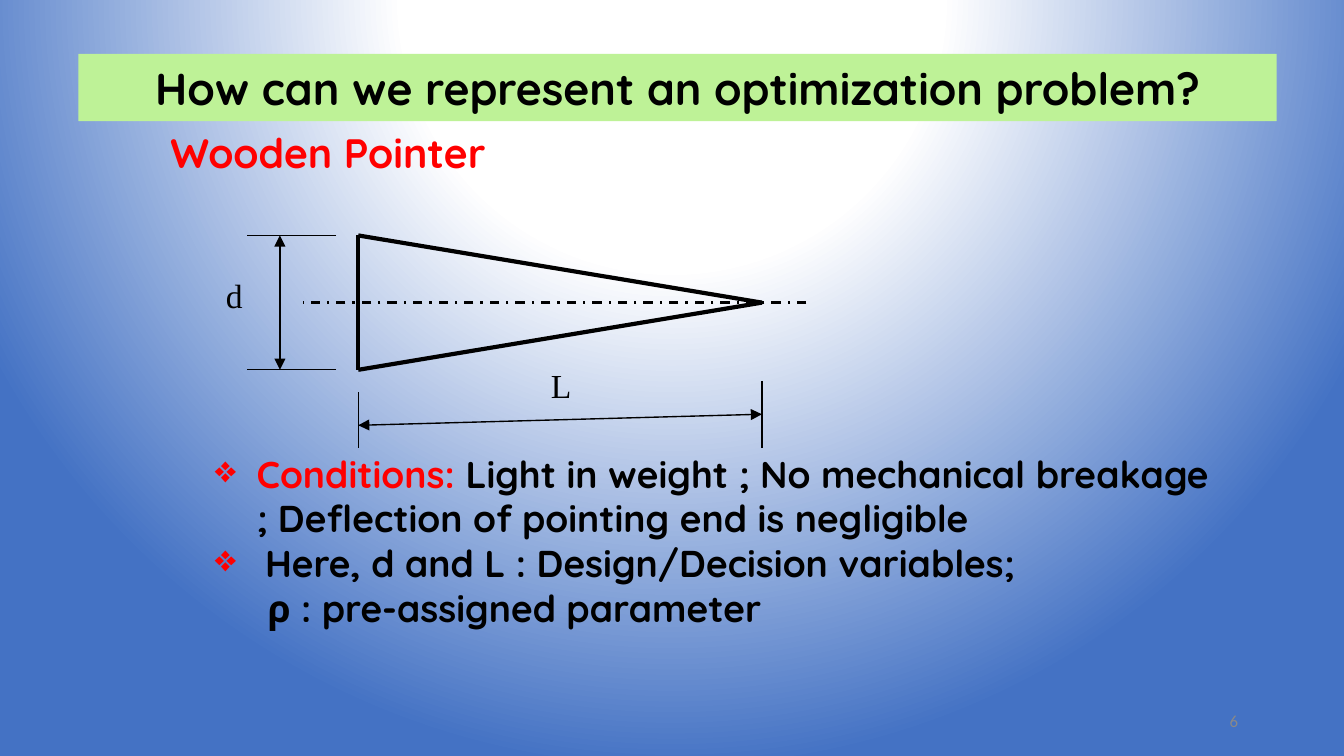
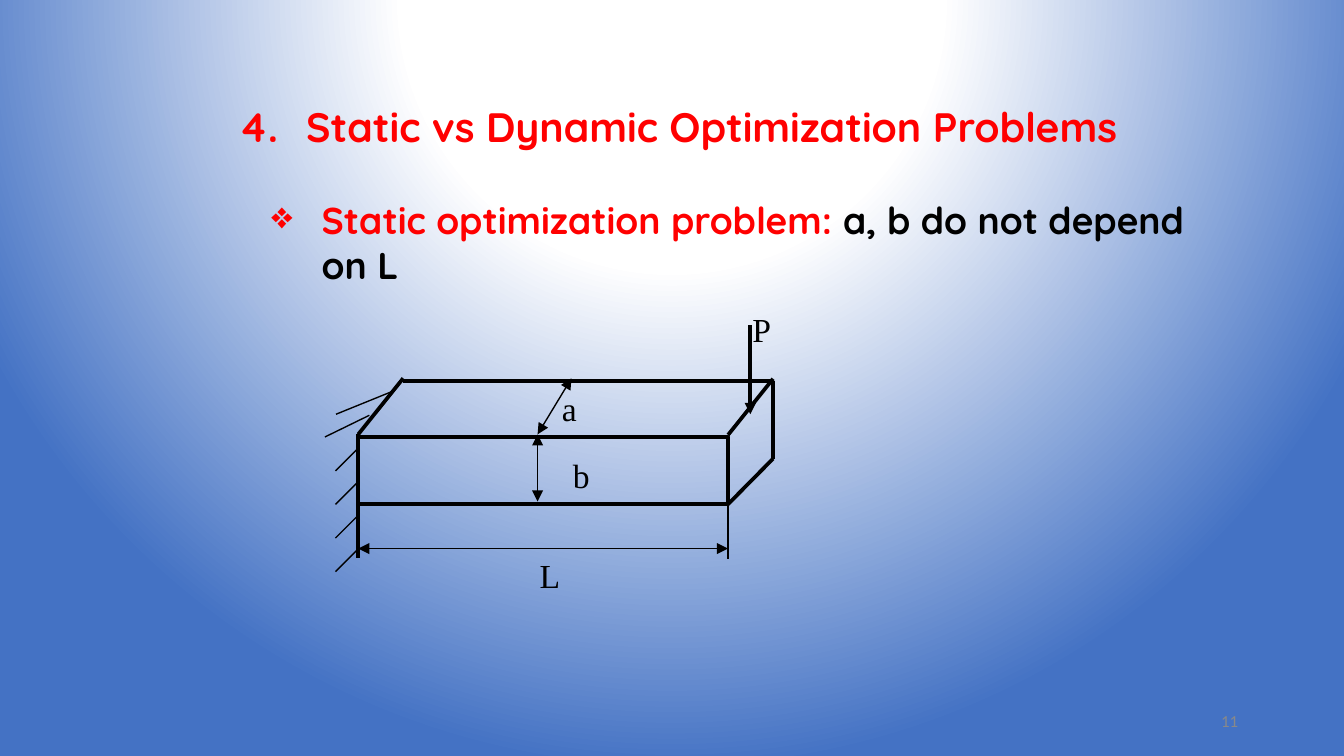
from dataclasses import dataclass
from typing import Optional

import lxml.etree
import pptx
import pptx.dml.color
import pptx.enum.dml
import pptx.enum.shapes
import pptx.enum.text
import pptx.oxml
import pptx.oxml.ns
import pptx.shapes.autoshape
import pptx.slide
import pptx.util

Cm = pptx.util.Cm
Pt = pptx.util.Pt
qn = pptx.oxml.ns.qn
Align = pptx.enum.text.PP_ALIGN
Anchor = pptx.enum.text.MSO_ANCHOR


# Theme
@dataclass(frozen=True)
class Theme:
    ink: str = "000000"
    accent: str = "FF0000"
    band: str = "BEF297"
    glow: str = "FFFFFF"
    edge: str = "4472C4"
    muted: str = "898989"
    font: str = "Quicksand"
    label_font: str = "Times New Roman"
    number_font: str = "Calibri"
    title: float = 24
    heading: float = 22
    body: float = 20
    label: float = 18
    number: float = 9
    thin: float = 0.75
    axis: float = 1.25
    medium: float = 2
    thick: float = 2.25


THEME = Theme()


# Repeated elements; all lengths in centimetres
@dataclass(frozen=True)
class Box:
    x: float
    y: float
    w: float
    h: float


@dataclass(frozen=True)
class Run:
    text: str
    size: float = THEME.body
    color: str = THEME.ink
    font: str = THEME.font
    bold: bool = True


@dataclass(frozen=True)
class Para:
    runs: tuple[Run, ...]
    margin: float = 0
    hang: float = 0
    bullet: str = ""
    start: int = 0
    align: Optional[Align] = None


@dataclass(frozen=True)
class Stroke:
    x1: float
    y1: float
    x2: float
    y2: float
    width: float = THEME.thin
    head: bool = False
    tail: bool = False
    dashed: bool = False


@dataclass(frozen=True)
class Label:
    text: str
    x: float
    y: float


def rgb(value: str) -> pptx.dml.color.RGBColor:
    return pptx.dml.color.RGBColor.from_string(value)


def set_background(master: pptx.slide.SlideMaster) -> None:
    master.background.fill.solid()
    bg = master.element.find(".//" + qn("p:bgPr"))
    stops = "".join(
        f'<a:gs pos="{pos * 1000}"><a:srgbClr val="{color}"/></a:gs>'
        for pos, color in ((0, THEME.glow), (35, THEME.glow), (100, THEME.edge))
    )
    grad = pptx.oxml.parse_xml(
        f'<a:gradFill {pptx.oxml.ns.nsdecls("a")} rotWithShape="1"><a:gsLst>{stops}</a:gsLst>'
        '<a:path path="circle"><a:fillToRect l="50000" t="-80000" r="50000" b="180000"/></a:path>'
        "</a:gradFill>"
    )
    bg.replace(bg[0], grad)


def format_para(p, para: Para) -> None:
    if para.align is not None:
        p.alignment = para.align
    pPr = p._p.get_or_add_pPr()
    pPr.set("marL", str(Cm(para.margin)))
    pPr.set("indent", str(Cm(-para.hang)))
    if para.bullet or para.start:
        color = lxml.etree.SubElement(pPr, qn("a:buClr"))
        lxml.etree.SubElement(color, qn("a:srgbClr"), val=THEME.accent)
    if para.bullet:
        lxml.etree.SubElement(pPr, qn("a:buChar"), char=para.bullet)
    elif para.start:
        lxml.etree.SubElement(
            pPr, qn("a:buAutoNum"), type="arabicPeriod", startAt=str(para.start))
    for run in para.runs:
        r = p.add_run()
        r.text = run.text
        r.font.name = run.font
        r.font.size = Pt(run.size)
        r.font.bold = run.bold
        r.font.color.rgb = rgb(run.color)


def fill_text(sp, paras: tuple[Para, ...], anchor: Anchor = Anchor.TOP,
              wrap: bool = True) -> None:
    tf = sp.text_frame
    tf.word_wrap = wrap
    tf.auto_size = pptx.enum.text.MSO_AUTO_SIZE.NONE
    tf.vertical_anchor = anchor
    for i, para in enumerate(paras):
        format_para(tf.add_paragraph() if i else tf.paragraphs[0], para)


def add_text(slide: pptx.slide.Slide, box: Box, *paras: Para,
             anchor: Anchor = Anchor.TOP, wrap: bool = True) -> None:
    sp = slide.shapes.add_textbox(Cm(box.x), Cm(box.y), Cm(box.w), Cm(box.h))
    fill_text(sp, paras, anchor, wrap)


def set_title(slide: pptx.slide.Slide, box: Box, para: Para,
              fill: Optional[str] = None) -> None:
    sp = slide.shapes.title
    sp.left, sp.top, sp.width, sp.height = Cm(box.x), Cm(box.y), Cm(box.w), Cm(box.h)
    if fill:
        sp.fill.solid()
        sp.fill.fore_color.rgb = rgb(fill)
    fill_text(sp, (para,), Anchor.MIDDLE)


def add_strokes(slide: pptx.slide.Slide, strokes: list[Stroke]) -> None:
    for s in strokes:
        sp = slide.shapes.add_connector(
            pptx.enum.shapes.MSO_CONNECTOR.STRAIGHT,
            Cm(s.x1), Cm(s.y1), Cm(s.x2), Cm(s.y2))
        sp.line.width = Pt(s.width)
        sp.line.color.rgb = rgb(THEME.ink)
        if s.dashed:
            sp.line.dash_style = pptx.enum.dml.MSO_LINE.DASH_DOT
        ln = sp.line._get_or_add_ln()
        for tag, wanted in (("a:headEnd", s.head), ("a:tailEnd", s.tail)):
            if wanted:
                lxml.etree.SubElement(ln, qn(tag), type="triangle")
        lxml.etree.SubElement(sp._element.spPr, qn("a:effectLst"))


def add_labels(slide: pptx.slide.Slide, labels: list[Label]) -> None:
    for label in labels:
        run = Run(label.text, THEME.label, font=THEME.label_font, bold=False)
        add_text(slide, Box(label.x, label.y, 0.86, 1.02), Para((run,)), wrap=False)


def add_slide(prs, number: int) -> pptx.slide.Slide:
    slide = prs.slides.add_slide(prs.slide_layouts[5])
    run = Run(str(number), THEME.number, THEME.muted, THEME.number_font, False)
    add_text(slide, Box(17.93, 13.24, 5.72, 0.76), Para((run,), align=Align.RIGHT),
             anchor=Anchor.MIDDLE)
    return slide


def dimension(x1: float, y1: float, x2: float, y2: float) -> Stroke:
    return Stroke(x1, y1, x2, y2, head=True, tail=True)


# Slide 6: wooden pointer
def build_pointer(prs) -> None:
    slide = add_slide(prs, 6)
    title = Run("How can we represent an optimization problem?", THEME.title)
    set_title(slide, Box(1.48, 1.02, 22.65, 1.27), Para((title,), align=Align.CENTER),
              THEME.band)
    add_text(slide, Box(2.97, 2.29, 21.39, 4.62),
             Para((Run("Wooden Pointer", THEME.heading, THEME.accent),)))

    base, tip = 6.77, 14.4
    top, mid, bottom = 4.45, 5.72, 6.99
    outline = [
        Stroke(base, top, base, bottom, THEME.thick),
        *(Stroke(base, y, tip, mid, THEME.thick) for y in (top, bottom)),
    ]
    extensions = [
        *(Stroke(6.35, y, 4.66, y) for y in (top, bottom)),
        Stroke(base, 7.41, base, 8.47),
        Stroke(tip, 7.2, tip, 8.47),
    ]
    add_strokes(slide, outline + extensions + [
        Stroke(15.24, mid, 5.72, mid, THEME.axis, dashed=True),
        dimension(5.29, top, 5.29, bottom),
        dimension(base, 8.04, tip, 7.83),
    ])
    add_labels(slide, [Label("d", 4.02, 5.08), Label("L", 10.16, 6.77)])

    add_text(
        slide, Box(3.81, 8.41, 19.48, 3.61),
        Para((Run("Conditions: ", color=THEME.accent),
              Run("Light in weight ; No mechanical breakage ; "
                  "Deflection of pointing end is negligible")), 0.79, 0.79, "❖"),
        Para((Run("Here, d and L : Design/Decision variables;"),), 0.95, 0.95, "❖"),
        Para((Run("ρ : pre-assigned parameter"),), 1),
        anchor=Anchor.MIDDLE)


# Slide 11: cantilever beam
def build_beam(prs) -> None:
    slide = add_slide(prs, 11)
    title = Run("Static vs Dynamic Optimization Problems", THEME.heading, THEME.accent)
    set_title(slide, Box(1.07, 1.78, 22.22, 1.22),
              Para((title,), 2.54, 1.27, start=4, align=Align.CENTER))
    add_text(slide, Box(1.07, 3.6, 22.22, 2.03),
             Para((Run("Static optimization problem: ", color=THEME.accent),
                   Run("a, b do not depend on L")), 4.76, 0.95, "❖"))

    # Front face, then the edges running back from it
    left, right, top, bottom = 6.77, 13.76, 8.26, 9.53
    back_left, back_right, back_top, back_bottom = 7.62, 14.61, 7.2, 8.67
    sp = slide.shapes.add_shape(
        pptx.enum.shapes.MSO_SHAPE.RECTANGLE,
        Cm(left), Cm(top), Cm(right - left), Cm(bottom - top))
    sp.shadow.inherit = False
    sp.fill.background()
    sp.line.color.rgb = rgb(THEME.ink)
    sp.line.width = Pt(THEME.medium)
    edges = [
        (back_right, back_top, back_right, back_bottom),
        (back_left, back_top, back_right, back_top),
        (left, 8.21, back_left, 7.15),
        (right, 8.22, back_right, 7.16),
        (right, bottom, back_right, back_bottom),
    ]
    add_strokes(slide, [Stroke(*edge, THEME.medium) for edge in edges])

    # Wall with hatching
    wall = [Stroke(left, 8.21, left, 10.54, THEME.thick)]
    for i in range(4):
        y = 8.47 + 0.635 * i
        wall.append(Stroke(left, y, left - 0.43, y + 0.43))
    wall += [Stroke(7.41, 7.4, 6.35, 7.83), Stroke(6.98, 7.85, 6.14, 8.26)]
    add_strokes(slide, wall)

    # Load and dimensions
    add_strokes(slide, [
        Stroke(14.18, 6.15, 14.18, 7.83, THEME.medium, tail=True),
        Stroke(right, 9.48, right, 10.57),
        dimension(left, 10.37, right, 10.37),
        dimension(10.8, 7.15, 10.16, 8.21),
        dimension(10.16, 8.21, 10.16, 9.48),
    ])
    add_labels(slide, [Label("a", 10.37, 7.2), Label("b", 10.58, 8.47),
                       Label("P", 13.97, 5.72), Label("L", 9.95, 10.37)])


def main() -> None:
    prs = pptx.Presentation()
    prs.slide_width, prs.slide_height = Cm(25.4), Cm(14.29)
    set_background(prs.slide_master)
    build_pointer(prs)
    build_beam(prs)
    prs.save("out.pptx")


if __name__ == "__main__":
    main()
